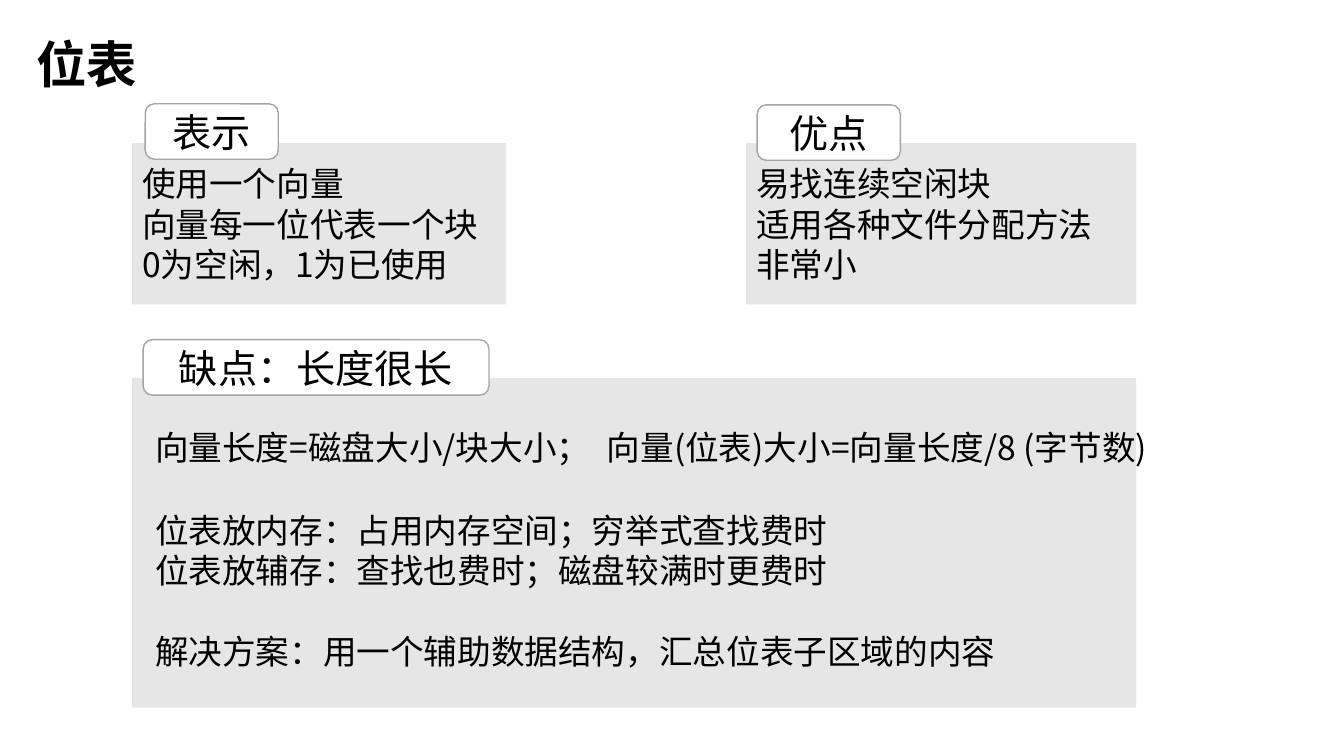
import pptx
import pptx.util
import pptx.dml.color
import pptx.enum.shapes
import pptx.enum.text
import pptx.oxml.ns
import lxml.etree

Inches = pptx.util.Inches
RGBColor = pptx.dml.color.RGBColor
ALIGN = pptx.enum.text.PP_ALIGN
ANCHOR = pptx.enum.text.MSO_ANCHOR
SHAPE = pptx.enum.shapes.MSO_SHAPE

BLACK = RGBColor(0x00, 0x00, 0x00)
WHITE = RGBColor(0xFF, 0xFF, 0xFF)
PANEL_GREY = RGBColor(0xE7, 0xE6, 0xE6)
BORDER_GREY = RGBColor(0xA5, 0xA5, 0xA5)
FONT_NAME = "Noto Sans CJK SC"

TITLE = ("位表", (0.26, 0.14, 3.42, 1.05))
LIST_PANELS = [
    (["使用一个向量", "向量每一位代表一个块", "0为空闲，1为已使用"], (1.31, 1.42, 3.71, 1.6)),
    (["易找连续空闲块", "适用各种文件分配方法", "非常小"], (7.4, 1.42, 3.87, 1.6)),
]
DRAWBACK_PANEL = (1.31, 3.75, 9.96, 3.27)
HEADINGS = [
    ("表示", (1.44, 1.03, 1.32, 0.55)),
    ("优点", (7.51, 1.04, 1.42, 0.55)),
    ("缺点：长度很长", (1.42, 3.37, 3.43, 0.55)),
]
DRAWBACK_NOTES = [
    (["向量长度=磁盘大小/块大小；"], (1.44, 4.19, 4.54, 0.5)),
    (["向量(位表)大小=向量长度/8 (字节数)"], (5.92, 4.19, 5.59, 0.5)),
    (["位表放内存：占用内存空间；穷举式查找费时", "位表放辅存：查找也费时；磁盘较满时更费时"],
     (1.44, 5.01, 6.93, 0.91)),
    (["解决方案：用一个辅助数据结构，汇总位表子区域的内容"], (1.44, 6.21, 8.56, 0.5)),
]

TITLE_FORMAT = {"size": pptx.util.Pt(36), "bold": True}
HEADING_FORMAT = {"size": pptx.util.Pt(28), "bold": False}
BODY_FORMAT = {"size": pptx.util.Pt(24), "bold": False}


def set_attributes(target, values):
    for name, value in values.items():
        setattr(target, name, value)


def place(shape, box):
    set_attributes(shape, dict(zip(("left", "top", "width", "height"), map(Inches, box))))


def write(shape, lines, font_format, anchor=ANCHOR.MIDDLE, align=ALIGN.LEFT, spacing=1.0):
    frame = shape.text_frame
    frame.text = "\n".join(lines)
    set_attributes(frame, {"word_wrap": True, "vertical_anchor": anchor,
                           "auto_size": pptx.enum.text.MSO_AUTO_SIZE.NONE})
    for paragraph in frame.paragraphs:
        set_attributes(paragraph, {"alignment": align, "line_spacing": spacing,
                                   "space_before": pptx.util.Pt(0)})
        for run in paragraph.runs:
            set_attributes(run.font, {"name": FONT_NAME, **font_format})
            run.font.color.rgb = BLACK
            east_asian = lxml.etree.SubElement(run.font._element, pptx.oxml.ns.qn("a:ea"))
            east_asian.set("typeface", FONT_NAME)


def remove_bullets(shape):
    for paragraph in shape.text_frame.paragraphs:
        properties = paragraph._p.get_or_add_pPr()
        properties.set("marL", "0")
        properties.set("indent", "0")
        lxml.etree.SubElement(properties, pptx.oxml.ns.qn("a:buNone"))


def fill_solid(shape, color):
    shape.fill.solid()
    shape.fill.fore_color.rgb = color


def add_box(slide, kind, box, color):
    shape = slide.shapes.add_shape(kind, *map(Inches, box))
    shape.shadow.inherit = False
    fill_solid(shape, color)
    return shape


def main():
    presentation = pptx.Presentation()
    set_attributes(presentation, {"slide_width": Inches(13.33), "slide_height": Inches(7.5)})
    slide = presentation.slides.add_slide(presentation.slide_layouts.get_by_name("Two Content"))

    title, title_box = TITLE
    place(slide.shapes.title, title_box)
    write(slide.shapes.title, [title], TITLE_FORMAT, spacing=0.9)

    for index, (lines, box) in enumerate(LIST_PANELS, start=1):
        panel = slide.placeholders[index]
        place(panel, box)
        fill_solid(panel, PANEL_GREY)
        write(panel, lines, BODY_FORMAT)
        remove_bullets(panel)

    drawback_panel = add_box(slide, SHAPE.RECTANGLE, DRAWBACK_PANEL, PANEL_GREY)
    drawback_panel.line.fill.background()

    for heading, box in HEADINGS:
        label = add_box(slide, SHAPE.ROUNDED_RECTANGLE, box, WHITE)
        label.line.color.rgb = BORDER_GREY
        label.line.width = pptx.util.Pt(1)
        write(label, [heading], HEADING_FORMAT, align=ALIGN.CENTER)

    for lines, box in DRAWBACK_NOTES:
        note = slide.shapes.add_textbox(*map(Inches, box))
        write(note, lines, BODY_FORMAT, anchor=ANCHOR.TOP)

    presentation.save("out.pptx")


if __name__ == "__main__":
    main()
